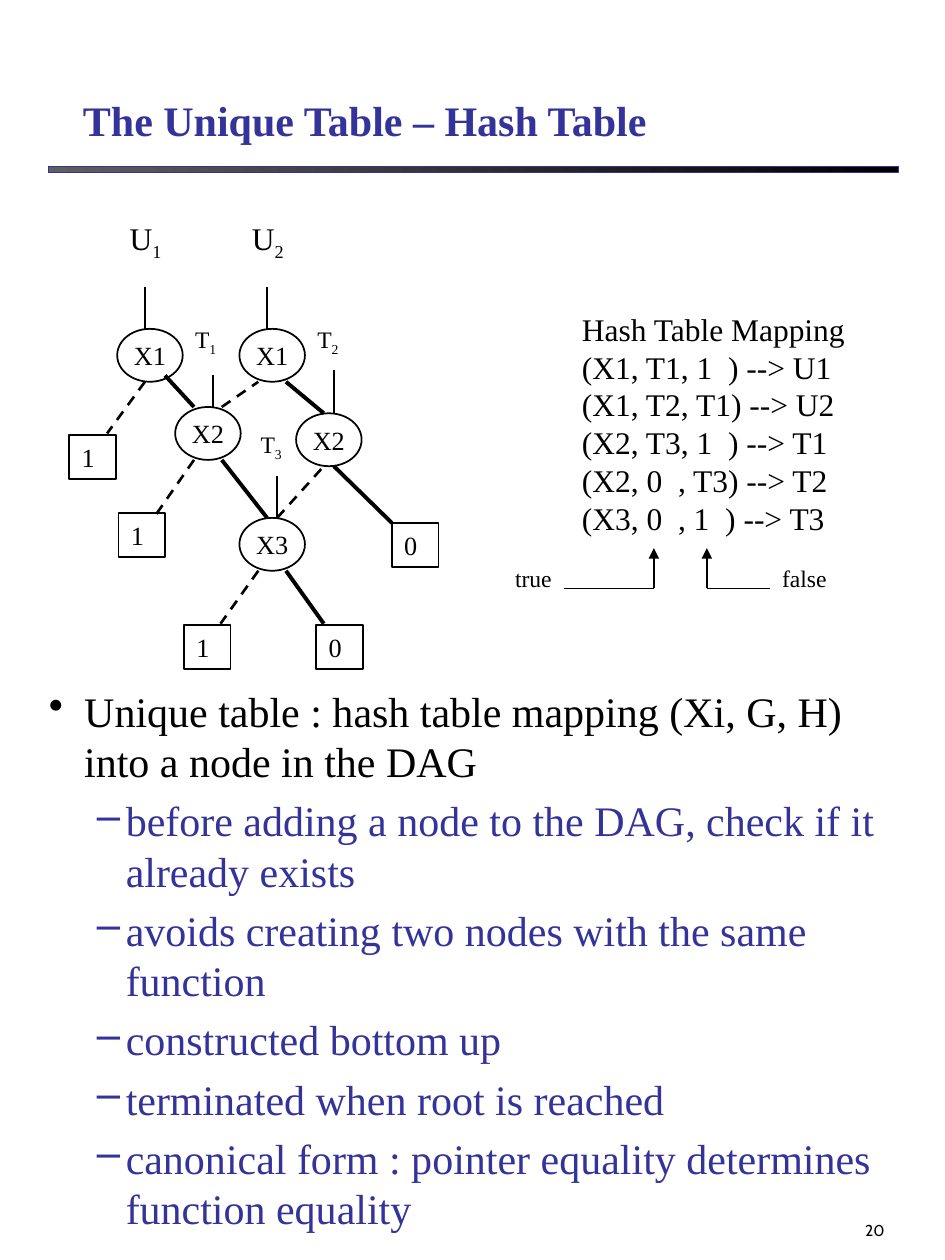
from dataclasses import dataclass
from lxml import etree
from pptx import Presentation, util as u
from pptx.dml.color import RGBColor
from pptx.enum import dml, shapes, text
from pptx.oxml.ns import qn


@dataclass(frozen=True)
class Theme:
    ink: RGBColor = RGBColor(0, 0, 0)
    accent: RGBColor = RGBColor(0x33, 0x33, 0x99)
    grey: RGBColor = RGBColor(0x5F, 0x5F, 0x5F)
    font: str = "Times New Roman"
    number_font: str = "Cabin"
    heading: float = 24
    label: float = 18
    node: float = 15
    small: float = 13.5
    number: float = 9
    thin: float = 1
    dashed: float = 1.5
    bold: float = 2.25


THEME = Theme()
COLUMNS, ROWS = 75, 100
WIDTH, HEIGHT = u.Inches(7.5), u.Inches(10)
NODE_SIZE = (5.2, 4.2)
LEAF_SIZE = (3.7, 3.5)


def across(columns):
    return round(WIDTH * columns / COLUMNS)


def down(rows):
    return round(HEIGHT * rows / ROWS)


def area(left, top, width, height):
    return across(left), down(top), across(width), down(height)


def style(paragraph, size, color=THEME.ink, font=THEME.font, bold=False):
    paragraph.font.size = u.Pt(size)
    paragraph.font.color.rgb = color
    paragraph.font.name = font
    paragraph.font.bold = bold


def add_text(slide, box, lines, size, anchor=text.MSO_ANCHOR.TOP,
             align=text.PP_ALIGN.LEFT, wrap=True, **look):
    frame = slide.shapes.add_textbox(*area(*box)).text_frame
    frame.word_wrap = wrap
    frame.vertical_anchor = anchor
    frame.text = "\n".join(lines)
    for paragraph in frame.paragraphs:
        paragraph.alignment = align
        style(paragraph, size, **look)
    return frame


def add_subscripted(slide, box, letter, index, size):
    frame = add_text(slide, box, [letter], size)
    run = frame.paragraphs[0].add_run()
    run.text = index
    run._r.get_or_add_rPr().set("baseline", "-25000")


def add_rule(slide, box):
    rule = slide.shapes.add_shape(shapes.MSO_SHAPE.RECTANGLE, *area(*box))
    rule.shadow.inherit = False
    rule.fill.gradient()
    rule.fill.gradient_angle = 0
    for stop, position, color in zip(rule.fill.gradient_stops, (0, 1), (THEME.grey, THEME.ink)):
        stop.position = position
        stop.color.rgb = color
    rule.line.color.rgb = THEME.accent
    rule.line.width = u.Pt(0.25)


def add_outlined(slide, kind, position, size, label, anchor, align, wrap):
    shape = slide.shapes.add_shape(kind, *area(*position, *size))
    shape.shadow.inherit = False
    shape.fill.background()
    shape.line.color.rgb = THEME.ink
    shape.line.width = u.Pt(THEME.thin)
    frame = shape.text_frame
    frame.word_wrap = wrap
    frame.vertical_anchor = anchor
    frame.text = label
    frame.paragraphs[0].alignment = align
    style(frame.paragraphs[0], THEME.node)


def add_node(slide, position, label):
    add_outlined(slide, shapes.MSO_SHAPE.OVAL, position, NODE_SIZE, label,
                 text.MSO_ANCHOR.MIDDLE, text.PP_ALIGN.CENTER, False)


def add_leaf(slide, position, label):
    add_outlined(slide, shapes.MSO_SHAPE.RECTANGLE, position, LEAF_SIZE, label,
                 text.MSO_ANCHOR.TOP, text.PP_ALIGN.LEFT, True)


def add_line(slide, start, end, width=THEME.thin, dash=None, arrow=False):
    line = slide.shapes.add_connector(
        shapes.MSO_CONNECTOR.STRAIGHT,
        across(start[0]), down(start[1]), across(end[0]), down(end[1]))
    line.line.color.rgb = THEME.ink
    line.line.width = u.Pt(width)
    if dash:
        line.line.dash_style = dash
    if arrow:
        etree.SubElement(line.line._get_or_add_ln(), qn("a:tailEnd"), type="triangle")
    etree.SubElement(line._element.spPr, qn("a:effectLst"))


def add_bullet(paragraph, mark, color, margin, indent):
    properties = paragraph._p.get_or_add_pPr()
    properties.set("marL", str(across(margin)))
    properties.set("indent", str(-across(indent)))
    paragraph.space_before = u.Pt(5)
    bullet_color = etree.Element(qn("a:buClr"))
    etree.SubElement(bullet_color, qn("a:srgbClr"), val=str(color))
    bullet = etree.Element(qn("a:buChar"), char=mark)
    defaults = properties.find(qn("a:defRPr"))
    defaults.addprevious(bullet_color)
    defaults.addprevious(bullet)


def add_body(slide, box, lead, points):
    frame = add_text(slide, box, [lead, *points], THEME.heading)
    first, *others = frame.paragraphs
    add_bullet(first, "•", THEME.ink, 2.8, 2.8)
    for paragraph in others:
        paragraph.level = 1
        paragraph.font.color.rgb = THEME.accent
        add_bullet(paragraph, "–", THEME.accent, 6.1, 2.3)


def add_diagram(slide):
    for position, label in [((9.3, 26.1), "X1"), ((19, 26.1), "X1"), ((13.9, 32.3), "X2"),
                            ((23.5, 32.8), "X2"), ((19, 41.1), "X3")]:
        add_node(slide, position, label)
    for position, label in [((5.5, 34.5), "1"), ((9.4, 40.7), "1"), ((14.6, 49.6), "1"),
                            ((25.1, 49.6), "0"), ((31.1, 41.5), "0")]:
        add_leaf(slide, position, label)
    for start, end in [((13.1, 29.8), (15.4, 32.3)), ((22.7, 30.3), (25.7, 32.8)),
                       ((17.6, 36.5), (21.2, 41.1)), ((26.5, 37), (31.1, 41.5)),
                       ((22.7, 45.3), (25.7, 49.5))]:
        add_line(slide, start, end, THEME.bold)
    for start, end in [((11.5, 30.3), (8.5, 34.4)), ((17.6, 32.3), (20.5, 30.3)),
                       ((15.4, 36.5), (12.2, 41.1)), ((22, 41.1), (25.7, 37)),
                       ((20.5, 45.3), (17.5, 49.5))]:
        add_line(slide, start, end, THEME.dashed, dml.MSO_LINE.DASH)
    for column, bottom, top in [(11.5, 26.1, 22.8), (21.2, 26.1, 22.8), (16.9, 32.3, 29.8),
                                (26.5, 32.8, 29.4), (22, 41.1, 37.8)]:
        add_line(slide, (column, bottom), (column, top))
    for left, index in [(9.3, "1"), (19, "2")]:
        add_subscripted(slide, (left, 16.9, 5.6, 4), "U", index, THEME.label)
    for left, top, index in [(14.5, 25.3, "1"), (24.2, 25.3, "2"), (19.7, 33.6, "3")]:
        add_subscripted(slide, (left, top, 4.6, 3.3), "T", index, THEME.small)


def add_mapping(slide):
    add_text(slide, (45.2, 24.1, 27.7, 19.2),
             ["Hash Table Mapping", "(X1, T1, 1  ) --> U1", "(X1, T2, T1) --> U2",
              "(X2, T3, 1  ) --> T1", "(X2, 0  , T3) --> T2", "(X3, 0  , 1  ) --> T3"],
             THEME.label)
    for label, left, width, outer, column in [("true", 39.9, 6, 44.8, 51.9),
                                              ("false", 61.1, 6.7, 61.1, 56.1)]:
        add_text(slide, (left, 44.3, width, 4.4), [label], THEME.small, wrap=False)
        add_line(slide, (outer, 46.7), (column, 46.7))
        add_line(slide, (column, 46.7), (column, 43.5), arrow=True)


def main():
    presentation = Presentation()
    presentation.slide_width, presentation.slide_height = WIDTH, HEIGHT
    slide = presentation.slides.add_slide(presentation.slide_layouts[6])
    add_rule(slide, (3.8, 13.2, 67.5, 0.5))
    add_text(slide, (55.6, 92.2, 15.6, 6.7), ["20"], THEME.number, text.MSO_ANCHOR.BOTTOM,
             text.PP_ALIGN.RIGHT, font=THEME.number_font)
    add_text(slide, (5.6, 5.1, 63.8, 6.9), ["The Unique Table – Hash Table"], THEME.heading,
             text.MSO_ANCHOR.BOTTOM, color=THEME.accent, bold=True)
    add_body(slide, (2.9, 53.9, 70, 44.9),
             "Unique table : hash table mapping (Xi, G, H) into a node in the DAG",
             ["before adding a node to the DAG, check if it already exists",
              "avoids creating two nodes with the same function",
              "constructed bottom up",
              "terminated when root is reached",
              "canonical form : pointer equality determines function equality"])
    add_mapping(slide)
    add_diagram(slide)
    presentation.save("out.pptx")


if __name__ == "__main__":
    main()
